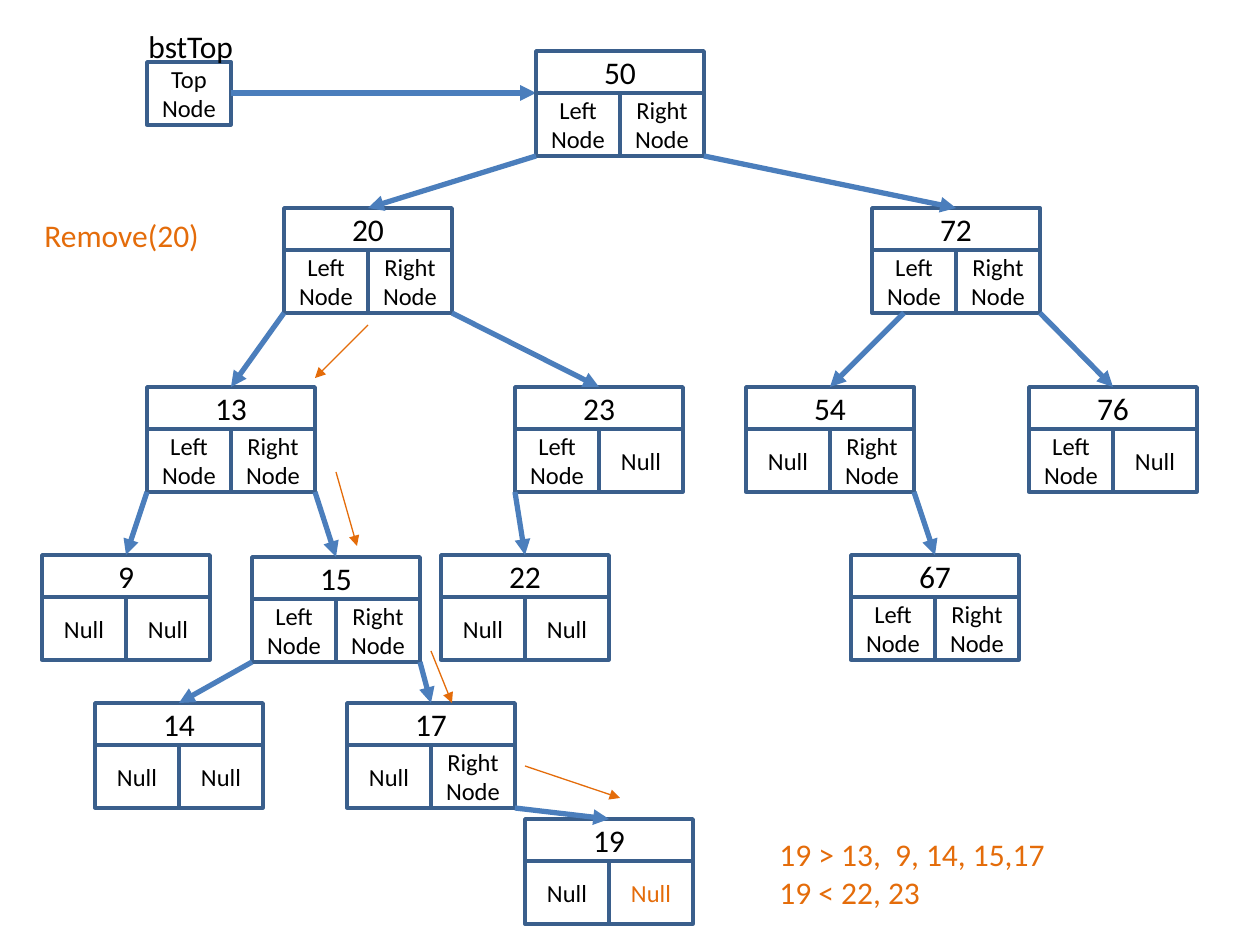
from dataclasses import dataclass
from lxml.etree import SubElement
from pptx import Presentation
from pptx.dml.color import RGBColor
from pptx.enum.shapes import MSO_CONNECTOR, MSO_SHAPE
from pptx.enum.text import MSO_ANCHOR, MSO_AUTO_SIZE, PP_ALIGN
from pptx.oxml.ns import qn
from pptx.util import Pt


@dataclass(frozen=True)
class Theme:
    font: str = "Calibri"
    ink: str = "000000"
    paper: str = "FFFFFF"
    border: str = "3A5F8C"
    edge: str = "4B7EBC"
    accent: str = "E46C0A"
    value_size: int = 18
    link_size: int = 14
    border_width: float = 2
    edge_width: float = 3
    trace_width: float = 0.75


THEME = Theme()
EMU_PER_PIXEL = 914400 / 126
NODE_WIDTH, VALUE_HEIGHT, LINK_HEIGHT = 168, 42, 63
LINK_WIDTH = NODE_WIDTH // 2
NODE_HEIGHT = VALUE_HEIGHT + LINK_HEIGHT

LEFT, RIGHT, NULL = "Left Node", "Right Node", "Null"
NODES = {
    50: (536, 51, LEFT, RIGHT),
    20: (284, 208, LEFT, RIGHT),
    72: (872, 208, LEFT, RIGHT),
    13: (147, 387, LEFT, RIGHT),
    23: (515, 387, LEFT, NULL),
    54: (746, 387, NULL, RIGHT),
    76: (1029, 387, LEFT, NULL),
    17: (347, 703, NULL, "Right\nNode"),
    67: (851, 555, LEFT, RIGHT),
    9: (42, 555, NULL, NULL),
    22: (441, 555, NULL, NULL),
    14: (95, 703, NULL, NULL),
    15: (252, 557, "Left\nNode", "Right\nNode"),
    19: (525, 819, NULL, NULL),
}
CHILDREN = {
    50: (20, 72), 20: (13, 23), 72: (54, 76), 13: (9, 15),
    23: (22,), 54: (67,), 15: (14, 17), 17: (19,),
}
START_SHIFTS = {54: 32}
LINK_COLORS = {(19, 1): THEME.accent}
TRACE = [
    (368, 325, 315, 378),
    (336, 472, 357, 546),
    (431, 651, 452, 703),
    (525, 766, 620, 798),
]


def px(length):
    return round(length * EMU_PER_PIXEL)


def rgb(color):
    return RGBColor.from_string(color)


def write(frame, text, size=THEME.value_size, color=THEME.ink, align=PP_ALIGN.LEFT):
    frame.text = text
    for paragraph in frame.paragraphs:
        paragraph.alignment = align
        for run in paragraph.runs:
            run.font.name = THEME.font
            run.font.size = Pt(size)
            run.font.color.rgb = rgb(color)


def add_cell(shapes, box, text, fill=THEME.paper, **text_format):
    cell = shapes.add_shape(MSO_SHAPE.RECTANGLE, *map(px, box))
    cell.shadow.inherit = False
    if fill:
        cell.fill.solid()
        cell.fill.fore_color.rgb = rgb(fill)
    else:
        cell.fill.background()
    cell.line.color.rgb = rgb(THEME.border)
    cell.line.width = Pt(THEME.border_width)
    cell.text_frame.word_wrap = True
    cell.text_frame.vertical_anchor = MSO_ANCHOR.MIDDLE
    write(cell.text_frame, text, align=PP_ALIGN.CENTER, **text_format)


def add_label(slide, box, text, **text_format):
    label = slide.shapes.add_textbox(*map(px, box)).text_frame
    write(label, text, **text_format)
    label.word_wrap = False
    label.auto_size = MSO_AUTO_SIZE.SHAPE_TO_FIT_TEXT


def add_arrow(slide, ends, color=THEME.edge, width=THEME.edge_width):
    arrow = slide.shapes.add_connector(MSO_CONNECTOR.STRAIGHT, *map(px, ends))
    arrow.line.color.rgb = rgb(color)
    arrow.line.width = Pt(width)
    properties = arrow.element.spPr
    SubElement(properties.find(qn("a:ln")), qn("a:tailEnd"), type="triangle")
    SubElement(properties, qn("a:effectLst"))


def add_node(slide, value, left, top, *links):
    node = slide.shapes.add_group_shape()
    add_cell(node.shapes, (left, top, NODE_WIDTH, VALUE_HEIGHT), str(value))
    for side in (1, 0):
        box = (left + side * LINK_WIDTH, top + VALUE_HEIGHT, LINK_WIDTH, LINK_HEIGHT)
        add_cell(node.shapes, box, links[side], size=THEME.link_size,
                 color=LINK_COLORS.get((value, side), THEME.ink))


def add_edge(slide, parent, child):
    parent_left, parent_top = NODES[parent][:2]
    child_left, child_top = NODES[child][:2]
    corner = parent_left + (NODE_WIDTH if child > parent else 0)
    add_arrow(slide, (corner + START_SHIFTS.get(child, 0), parent_top + NODE_HEIGHT,
                      child_left + LINK_WIDTH, child_top))


def add_top_pointer(slide, left, top):
    add_cell(slide.shapes, (left, top, LINK_WIDTH, LINK_HEIGHT), "Top\nNode",
             fill=None, size=THEME.link_size)
    add_label(slide, (left - 11, top - 41, 111, 50), "bstTop")
    root_left, root_top = NODES[50][:2]
    root_middle = root_top + VALUE_HEIGHT
    add_arrow(slide, (left + LINK_WIDTH, root_middle, root_left, root_middle))


def add_tree(slide):
    for value, details in NODES.items():
        add_node(slide, value, *details)
    for parent, children in CHILDREN.items():
        for child in children:
            add_edge(slide, parent, child)


def add_removal(slide):
    add_label(slide, (32, 210, 181, 50), "Remove(20)", color=THEME.accent)
    add_label(slide, (767, 829, 295, 89), "19 > 13,  9, 14, 15,17\n19 < 22, 23",
              color=THEME.accent)
    for ends in TRACE:
        add_arrow(slide, ends, color=THEME.accent, width=THEME.trace_width)


presentation = Presentation()
presentation.slide_width = px(1260)
presentation.slide_height = px(945)
tree_slide = presentation.slides.add_slide(presentation.slide_layouts[6])
add_top_pointer(tree_slide, 147, 62)
add_tree(tree_slide)
add_removal(tree_slide)
presentation.save("out.pptx")
